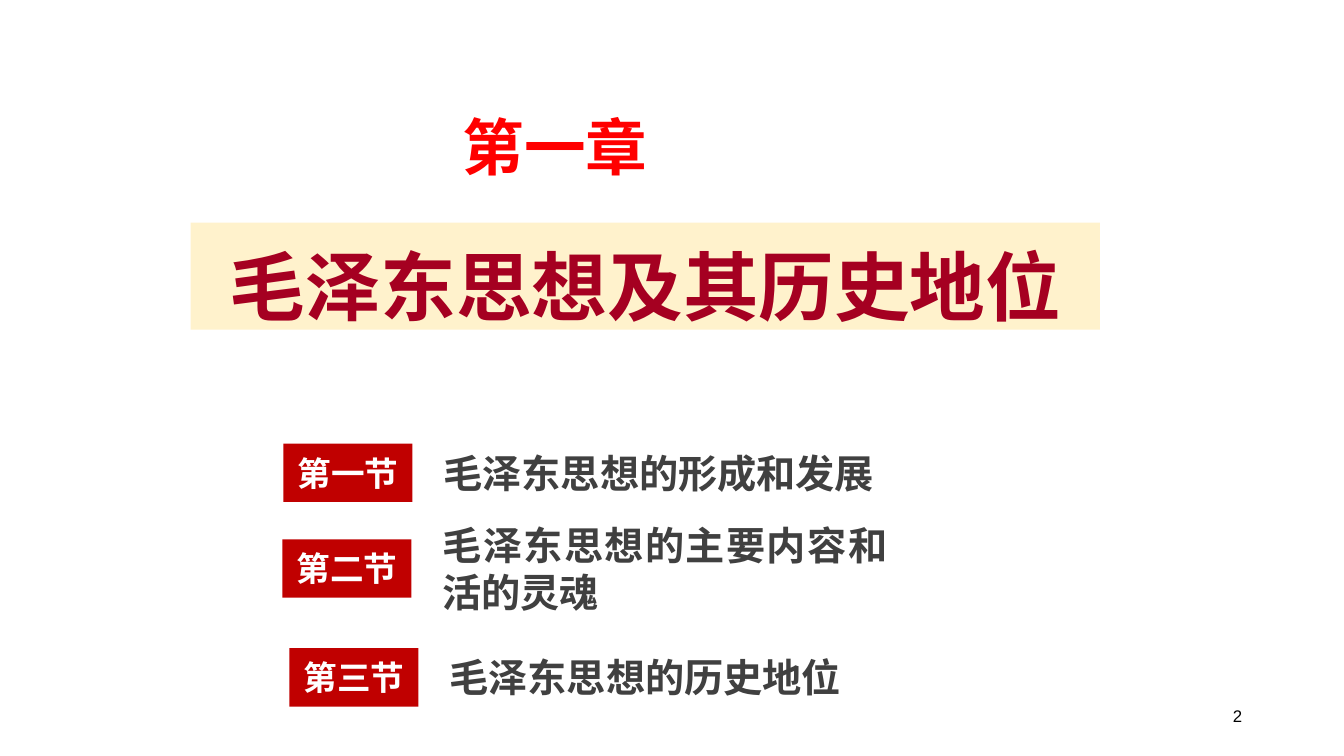
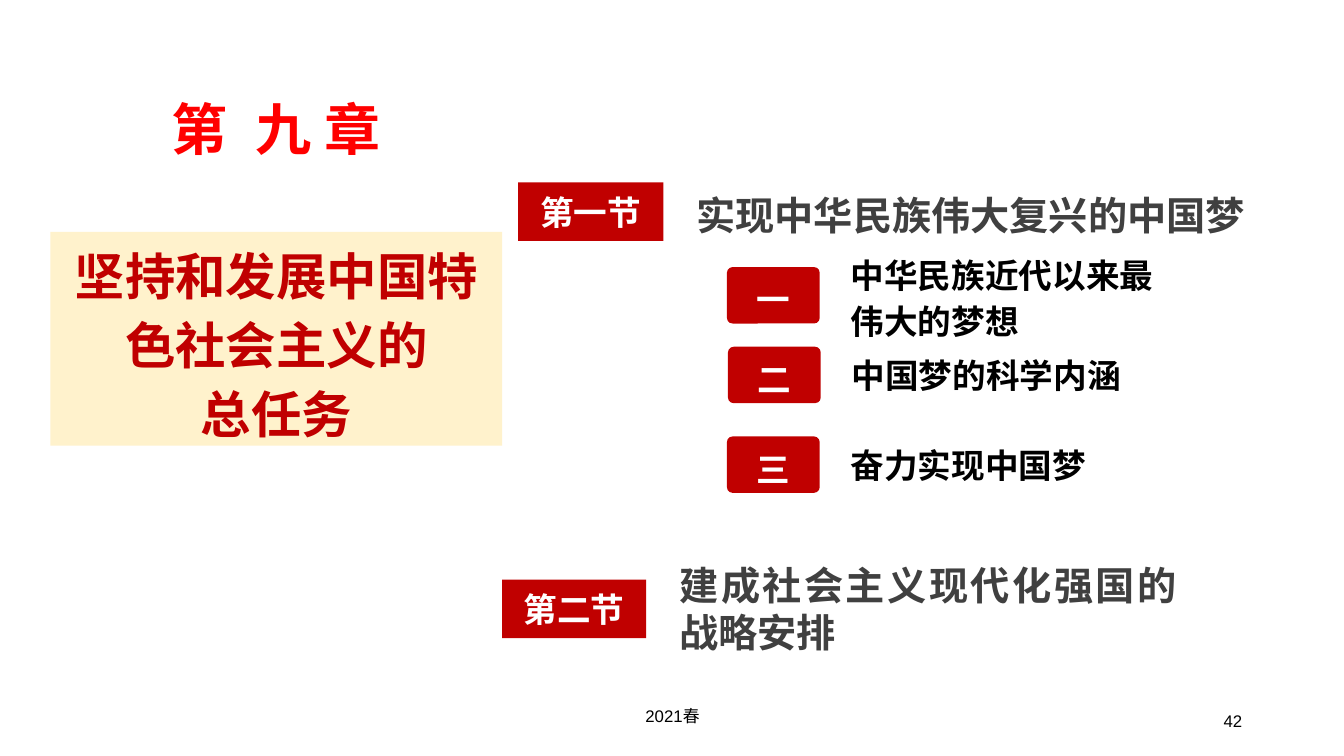
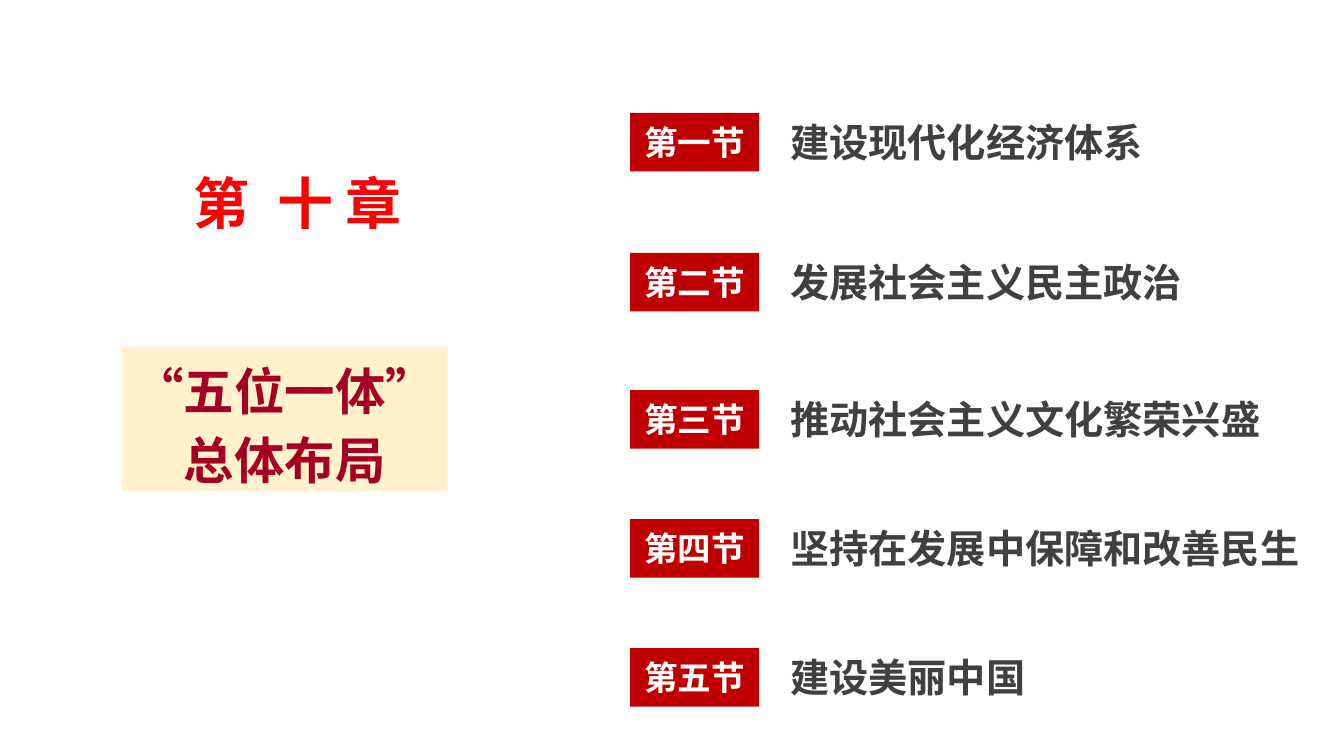
from lxml import etree
from pptx import Presentation
from pptx.dml.color import RGBColor
from pptx.enum.shapes import MSO_SHAPE
from pptx.enum.text import MSO_ANCHOR, MSO_AUTO_SIZE, PP_ALIGN
from pptx.oxml.ns import qn
from pptx.util import Inches, Pt

RECT, ROUNDED = MSO_SHAPE.RECTANGLE, MSO_SHAPE.ROUNDED_RECTANGLE
TOP, MIDDLE = MSO_ANCHOR.TOP, MSO_ANCHOR.MIDDLE
GROW, FIXED = MSO_AUTO_SIZE.SHAPE_TO_FIT_TEXT, MSO_AUTO_SIZE.NONE
LEFT, CENTER, RIGHT = PP_ALIGN.LEFT, PP_ALIGN.CENTER, PP_ALIGN.RIGHT
JUSTIFY = PP_ALIGN.JUSTIFY

COLORS = {
    "red": "C00000",
    "bright": "FF0000",
    "crimson": "A50021",
    "cream": "FFF2CC",
    "gray": "404040",
    "black": "000000",
    "white": "FFFFFF",
}
LATIN, CHINESE, DISPLAY = "Arial", "Noto Sans CJK SC", "TeX Gyre Adventor"
LOOSE = 1.14
BADGE_H = 0.58
TOPIC_W = 4.61


def color(name):
    return RGBColor.from_string(COLORS[name])


class Outline:
    """Chapter outline slides in one shared style."""

    def __init__(self):
        self.deck = Presentation()
        self.deck.slide_width = Inches(13.33)
        self.deck.slide_height = Inches(7.5)
        self.slide = None

    def new_slide(self):
        self.slide = self.deck.slides.add_slide(self.deck.slide_layouts[6])

    def set_text(self, holder, lines, size, ink, font=LATIN, bold=True, align=CENTER,
                 spacing=None, anchor=TOP, fit=GROW):
        """Fill a holder; each line is a list of (text, tracking in points)."""
        frame = holder.text_frame
        frame.word_wrap = True
        frame.auto_size = fit
        frame.vertical_anchor = anchor
        for index, line in enumerate(lines):
            paragraph = frame.add_paragraph() if index else frame.paragraphs[0]
            paragraph.alignment = align
            if spacing:
                paragraph.line_spacing = spacing
            for text, tracking in line:
                run = paragraph.add_run()
                run.text = text
                run.font.size = Pt(size)
                run.font.bold = bold
                run.font.name = font
                run.font.color.rgb = color(ink)
                props = run.font._element
                east_asian = etree.SubElement(props, qn("a:ea"))
                east_asian.set("typeface", CHINESE)
                if tracking:
                    props.set("spc", str(tracking * 100))

    def text(self, x, y, w, h, lines, size, ink, **style):
        box = self.slide.shapes.add_textbox(Inches(x), Inches(y), Inches(w), Inches(h))
        self.set_text(box, lines, size, ink, **style)

    def panel(self, x, y, w, h, fill, lines, size, ink, kind=RECT, **style):
        block = self.slide.shapes.add_shape(kind, Inches(x), Inches(y), Inches(w), Inches(h))
        block.shadow.inherit = False
        block.fill.solid()
        block.fill.fore_color.rgb = color(fill)
        block.line.fill.background()
        if kind == ROUNDED:
            block.adjustments[0] = 0.1
        self.set_text(block, lines, size, ink, **style)

    def chapter(self, x, y, first, rest):
        """Chapter number with a wider gap after its first character."""
        self.text(x, y, 3.96, 0.77, [[(first, 11), (rest, 0)]], 40, "bright")

    def banner(self, x, y, w, h, lines, size, ink, font):
        self.panel(x, y, w, h, "cream", [[(line, 0)] for line in lines], size, ink,
                   font=font, spacing=LOOSE)

    def section(self, x, y, label, topic, topic_w=TOPIC_W, rows=1,
                badge_w=1.28, gap=0.21, drop=0):
        """Red badge with its topic centred beside it."""
        self.panel(x, y, badge_w, BADGE_H, "red", [[(label, 0)]], 24, "white",
                   anchor=MIDDLE, fit=FIXED)
        topic_h = 0.57 + 0.47 * (rows - 1)
        topic_y = y + (BADGE_H - topic_h) / 2 + drop
        self.text(x + badge_w + gap, topic_y, topic_w, topic_h, [[(topic, 0)]], 28,
                  "gray", font=CHINESE, align=JUSTIFY)

    def point(self, x, y, number, topic, topic_y, topic_w, topic_h):
        self.panel(x, y, 0.92, 0.56, "red", [[(number, 0)]], 24, "white",
                   kind=ROUNDED, spacing=LOOSE, fit=FIXED)
        self.text(x + 1.13, topic_y, topic_w, topic_h, [[(topic, 0)]], 24, "black",
                  align=LEFT, spacing=LOOSE)

    def footer(self, x, w, words, align, anchor=TOP):
        self.text(x, 6.95, w, 0.4, [[(words, 0)]], 12, "black", bold=False,
                  align=align, anchor=anchor, fit=FIXED)

    def page_number(self, number, anchor=TOP):
        self.footer(9.42, 3, number, RIGHT, anchor)


def chapter_one(outline):
    outline.new_slide()
    outline.page_number("2")
    outline.text(4.49, 1.03, 3.97, 0.84, [[("第一章", 0)]], 44, "bright", align=JUSTIFY)
    outline.banner(1.89, 2.21, 9.02, 1.06, ["毛泽东思想及其历史地位"], 54, "crimson", DISPLAY)
    outline.section(2.81, 4.4, "第一节", "毛泽东思想的形成和发展")
    outline.section(2.8, 5.35, "第二节", "毛泽东思想的主要内容和活的灵魂", rows=2)
    outline.section(2.87, 6.43, "第三节", "毛泽东思想的历史地位")


def chapter_nine(outline):
    outline.new_slide()
    outline.section(5.14, 1.81, "第一节", "实现中华民族伟大复兴的中国梦", 5.87,
                    badge_w=1.44, gap=0.23, drop=0.03)
    outline.section(4.98, 5.75, "第二节", "建成社会主义现代化强国的战略安排", 5.13,
                    rows=2, badge_w=1.43, gap=0.23)
    outline.chapter(0.76, 0.89, "第", " 九 章")
    outline.banner(0.5, 2.3, 4.48, 2.12, ["坚持和发展中国特色社会主义的", "总任务"],
                   36, "red", LATIN)
    outline.footer(4.42, 4.5, "2021春", CENTER)
    outline.page_number("42", MIDDLE)
    outline.point(7.21, 2.65, "一", "中华民族近代以来最伟大的梦想", 2.42, 3.24, 0.99)
    outline.point(7.22, 3.44, "二", "中国梦的科学内涵", 3.42, 3.64, 0.53)
    outline.point(7.21, 4.33, "三", "奋力实现中国梦", 4.31, 3.64, 0.53)


def chapter_ten(outline):
    outline.new_slide()
    sections = [
        (1.12, "第一节", "建设现代化经济体系", TOPIC_W),
        (2.51, "第二节", "发展社会主义民主政治", TOPIC_W),
        (3.87, "第三节", "推动社会主义文化繁荣兴盛", 4.99),
        (5.15, "第四节", "坚持在发展中保障和改善民生", 5.27),
        (6.43, "第五节", "建设美丽中国", TOPIC_W),
    ]
    for y, label, topic, topic_w in sections:
        outline.section(6.25, y, label, topic, topic_w)
    outline.chapter(0.97, 1.62, "第", " 十 章")
    outline.banner(1.21, 3.44, 3.23, 1.43, ["“五位一体”", "总体布局"], 36, "crimson", CHINESE)


def main():
    outline = Outline()
    chapter_one(outline)
    chapter_nine(outline)
    chapter_ten(outline)
    outline.deck.save("out.pptx")


if __name__ == "__main__":
    main()
